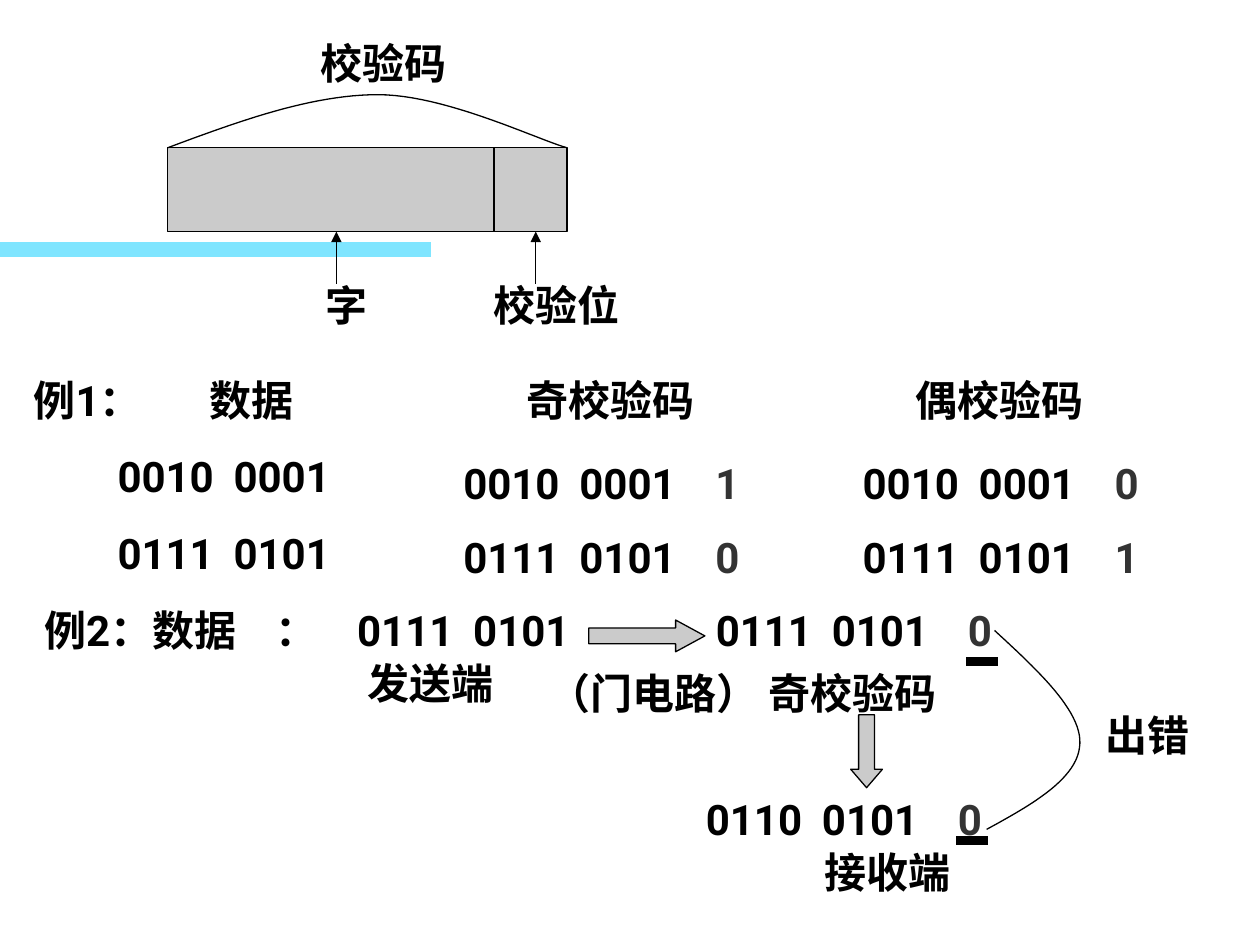
from dataclasses import dataclass
from typing import NamedTuple

from lxml.etree import SubElement
from pptx import Presentation
from pptx.dml.color import RGBColor
from pptx.enum.shapes import MSO_CONNECTOR as Connector, MSO_SHAPE as Shape
from pptx.enum.text import MSO_AUTO_SIZE as AutoSize, PP_ALIGN as Align
from pptx.oxml.ns import qn
from pptx.util import Cm, Pt


@dataclass(frozen=True)
class Theme:
    font: str = "Roboto"
    size: float = 24
    ink: str = "000000"
    bit: str = "333333"
    fill: str = "CBCBCB"
    band: str = "00CCFF"
    hairline: float = 0.75
    underline: float = 5
    space_before: float = 15


THEME = Theme()
LINE_HEIGHT = 1.27
WORD_STEP = 2.34  # from the first group of four bits to the second
BIT_STEP = 5.08  # from a data word to its check bit


class Box(NamedTuple):
    """A region's top left corner, in centimetres."""
    left: float
    top: float

    def point(self, x, y):
        return Cm(self.left + x), Cm(self.top + y)


def add_text(page, box, x, y, width, *lines, tabs=(), color=THEME.ink,
             align=Align.LEFT, height=LINE_HEIGHT, wrap=True):
    """Place one paragraph per line; tabs holds one list of stops per line."""
    label = page.shapes.add_textbox(*box.point(x, y), Cm(width), Cm(height))
    frame = label.text_frame
    frame.word_wrap = wrap
    frame.auto_size = AutoSize.SHAPE_TO_FIT_TEXT
    frame.text = "\n".join(lines)
    for index, para in enumerate(frame.paragraphs):
        para.alignment = align
        if index:
            para.space_before = Pt(THEME.space_before)
        if index < len(tabs):
            tab_list = SubElement(para._p.get_or_add_pPr(), qn("a:tabLst"))
            for stop in tabs[index]:
                SubElement(tab_list, qn("a:tab"), pos=str(Cm(stop)), algn="l")
        for span in para.runs:
            span.font.name = THEME.font
            span.font.size = Pt(THEME.size)
            span.font.bold = True
            span.font.color.rgb = RGBColor.from_string(color)


def add_word(page, box, x, y, word):
    add_text(page, box, x, y, 5.72, word, tabs=[[WORD_STEP]])


def add_bit(page, box, x, y, bit):
    add_text(page, box, x, y, 1.2, bit, color=THEME.bit, wrap=False)


def outline(item, width=THEME.hairline):
    item.line.color.rgb = RGBColor.from_string(THEME.ink)
    item.line.width = Pt(width)


def add_block(page, box, kind, x, y, width, height):
    block = page.shapes.add_shape(kind, *box.point(x, y), Cm(width), Cm(height))
    block.shadow.inherit = False
    block.fill.solid()
    block.fill.fore_color.rgb = RGBColor.from_string(THEME.fill)
    outline(block)
    return block


def add_line(page, box, start, end, width=THEME.hairline, arrow=False):
    line = page.shapes.add_connector(
        Connector.STRAIGHT, *box.point(*start), *box.point(*end))
    outline(line, width)
    if arrow:
        SubElement(line.line._get_or_add_ln(), qn("a:tailEnd"), type="triangle")
    SubElement(line._element.spPr, qn("a:effectLst"))


def add_curve(page, box, knots, steps=24):
    """Draw joined cubic curves; knots are a start, then three points each."""
    points = []
    for first in range(0, len(knots) - 1, 3):
        p0, p1, p2, p3 = knots[first:first + 4]
        for step in range(1, steps + 1):
            t = step / steps
            u = 1 - t
            points.append(box.point(*(
                u**3 * a + 3 * u * u * t * b + 3 * u * t * t * c + t**3 * d
                for a, b, c, d in zip(p0, p1, p2, p3))))
    builder = page.shapes.build_freeform(*box.point(*knots[0]))
    builder.add_line_segments(points, close=False)
    curve = builder.convert_to_shape()
    curve.shadow.inherit = False
    curve.fill.background()
    outline(curve)


def add_band(page, box):
    band = add_block(page, box, Shape.RECTANGLE, 0, 0, 8.69, 0.3)
    band.line.fill.background()
    band.fill.fore_color.rgb = RGBColor.from_string(THEME.band)
    color = band._element.spPr.find(qn("a:solidFill"))[0]
    SubElement(color, qn("a:alpha"), val="50000")


def add_code_layout(page, box):
    """The check code as a bar of data word and check bit."""
    width, top, height = 8.05, 2.34, 1.69
    bottom = top + height
    add_block(page, box, Shape.RECTANGLE, 0, top, width, height)
    add_line(page, box, (6.58, top), (6.58, bottom))
    for name, x, label_width, pointer in (("字", 2.13, 2.97, 3.4),
                                          ("校验位", 5.94, 3.81, 7.42)):
        add_text(page, box, x, 4.88, label_width, name, align=Align.CENTER)
        add_line(page, box, (pointer, 5.08), (pointer, bottom), arrow=True)
    add_curve(page, box, [(0, top), (1.45, 1.8), (2.9, 1.27), (4.24, 1.27),
                          (5.59, 1.27), (7.42, 2.16), (width, top)])
    add_text(page, box, 1.5, 0, 5.72, "校验码", align=Align.CENTER)


def add_parity_table(page, box):
    """Example 1: data words with their odd and even check codes."""
    words = ("0010\t0001", "0111\t0101")
    indent = 1.69
    add_text(page, box, 0, 0, 7.62, "例1：\t数据", *("\t" + word for word in words),
             tabs=[[3.55]] + [[indent, indent + WORD_STEP]] * len(words),
             height=4.37)
    for heading, heading_x, x, bits in (("奇校验码", 9.93, 8.66, "10"),
                                        ("偶校验码", 17.78, 16.71, "01")):
        add_text(page, box, heading_x, 0, 4.45, heading)
        for row, (word, bit) in enumerate(zip(words, bits)):
            y = 1.68 + 1.5 * row
            add_word(page, box, x, y, word)
            add_bit(page, box, x + BIT_STEP, y, bit)


def add_transfer(page, box):
    """Example 2: a word sent with odd parity and received with an error."""
    word_x = 6.31
    add_text(page, box, 0, 0, 11.43, "例2：数据\t：\t0111\t0101",
             tabs=[[4.67, word_x, word_x + WORD_STEP]])
    for word, x, y, bar_y in (("0111\t0101", 13.54, 0, 1.27),
                              ("0110\t0101", 13.34, 3.81, 4.88)):
        bit_x = x + BIT_STEP
        add_word(page, box, x, y, word)
        add_bit(page, box, bit_x, y, "0")
        add_line(page, box, (bit_x + 0.22, bar_y), (bit_x + 0.86, bar_y),
                 THEME.underline)
    for name, x, y, width, align in (
            ("发送端", 5.72, 1.07, 4.65, Align.CENTER),
            ("（门电路）", 10.16, 1.27, 4.9, Align.LEFT),
            ("奇校验码", 14.61, 1.27, 4.24, Align.LEFT),
            ("接收端", 14.17, 4.88, 6.15, Align.CENTER),
            ("出错", 21.39, 2.11, 2.74, Align.LEFT)):
        add_text(page, box, x, y, width, name, align=align)
    for kind, x, y, width, height, head in (
            (Shape.RIGHT_ARROW, 11.23, 0.43, 2.34, 0.64, 0.92),
            (Shape.DOWN_ARROW, 16.51, 2.34, 0.64, 1.47, 0.58)):
        arrow = add_block(page, box, kind, x, y, width, height)
        arrow.adjustments[1] = head
    add_curve(page, box, [(19.41, 0.64), (20.29, 1.45), (21.16, 2.26),
                          (21.13, 2.92), (21.11, 3.61), (20.19, 4.14),
                          (19.25, 4.65)])


def main():
    deck = Presentation()
    deck.slide_width, deck.slide_height = Cm(25.4), Cm(19.05)
    page = deck.slides.add_slide(deck.slide_layouts.get_by_name("Blank"))
    add_band(page, Box(0, 4.88))
    add_code_layout(page, Box(3.38, 0.64))
    add_parity_table(page, Box(0.43, 7.42))
    add_transfer(page, Box(0.64, 12.07))
    deck.save("out.pptx")


if __name__ == "__main__":
    main()
